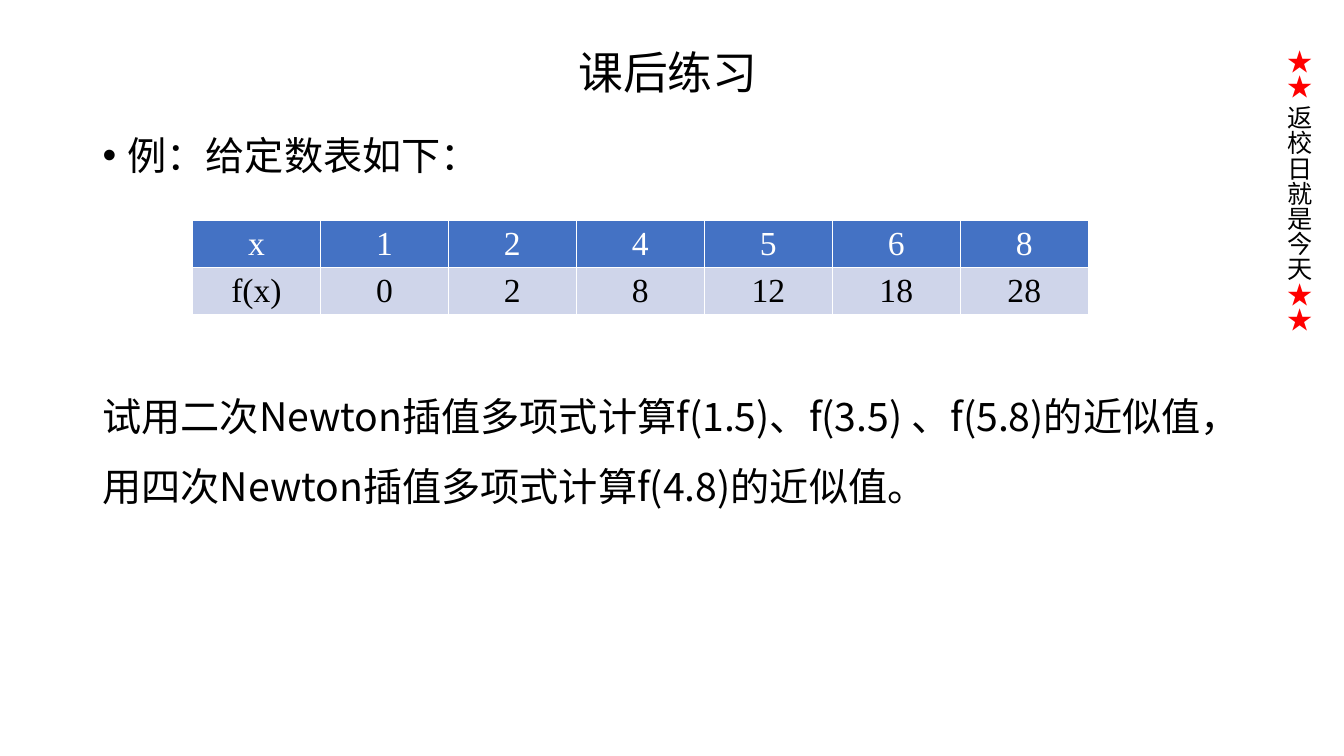
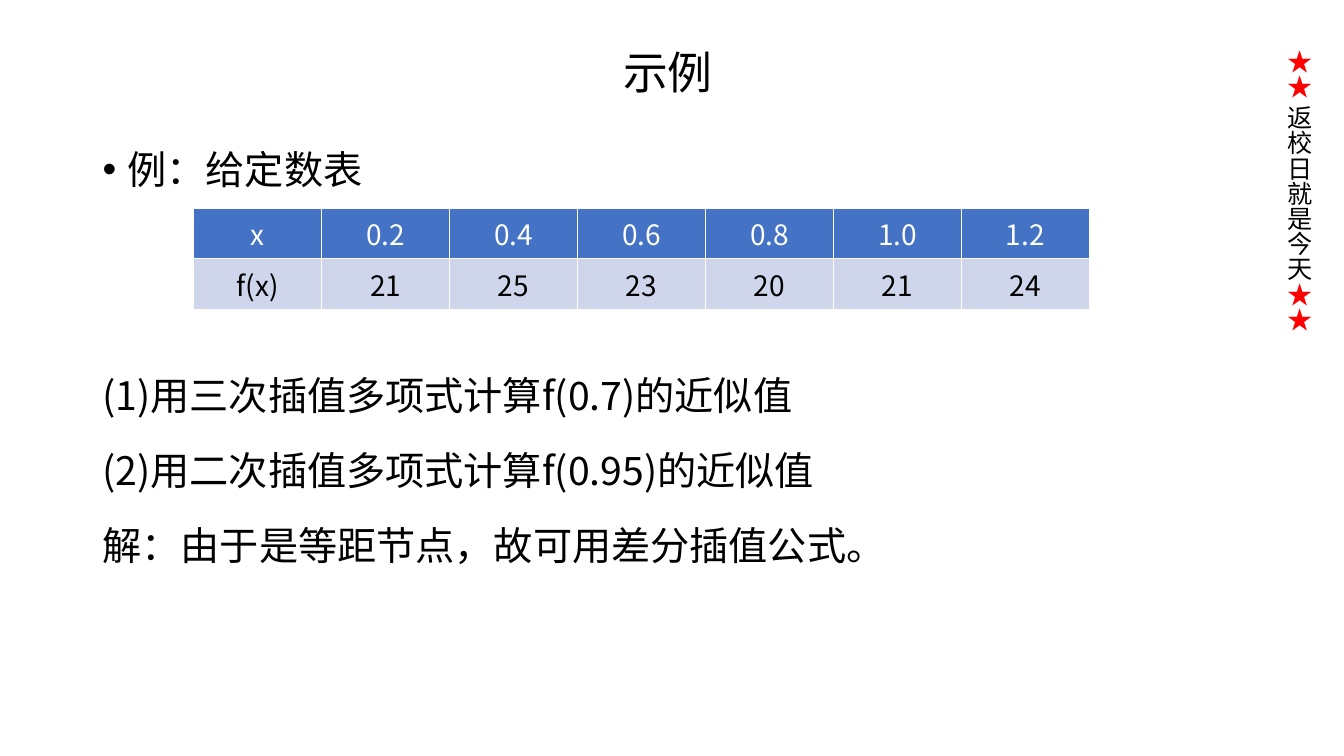
import pptx
import pptx.dml.color
import pptx.enum.text
import pptx.oxml.ns
import pptx.util
from lxml import etree

Cm = pptx.util.Cm
Pt = pptx.util.Pt
RGBColor = pptx.dml.color.RGBColor
PP_ALIGN = pptx.enum.text.PP_ALIGN
MSO_ANCHOR = pptx.enum.text.MSO_ANCHOR
MSO_AUTO_SIZE = pptx.enum.text.MSO_AUTO_SIZE
qn = pptx.oxml.ns.qn

BLACK = RGBColor(0x00, 0x00, 0x00)
WHITE = RGBColor(0xFF, 0xFF, 0xFF)
RED = RGBColor(0xFF, 0x00, 0x00)
HEADER_BLUE = RGBColor(0x44, 0x72, 0xC4)
ROW_BLUE = RGBColor(0xCF, 0xD5, 0xEA)
SANS = "Noto Sans CJK SC"
SERIF = "Times New Roman"
COLUMN_WIDTH = Cm(3.225)


def add_text(p, text, size=28, color=BLACK, font=SANS, align=None,
             line=None, before=0):
    """Add a formatted run to a paragraph and set the paragraph's spacing."""
    p.alignment = align
    p.line_spacing = line
    p.space_before = Pt(before)
    r = p.add_run()
    r.text = text
    r.font.size = Pt(size)
    r.font.color.rgb = color
    r.font.name = font
    etree.SubElement(r.font._element, qn("a:ea"), typeface=font)


def set_bullet(p, char=None):
    """Give a paragraph a hanging bullet, or none at all."""
    pPr = p._p.get_or_add_pPr()
    indent = Cm(0.63) if char else 0
    pPr.set("marL", str(indent))
    pPr.set("indent", str(-indent))
    if char:
        etree.SubElement(pPr, qn("a:buFont"), typeface="Arial")
        etree.SubElement(pPr, qn("a:buChar"), char=char)
    else:
        etree.SubElement(pPr, qn("a:buNone"))


def place(sp, left, top, width, height):
    """Move and size a shape, in centimetres."""
    sp.left, sp.top = Cm(left), Cm(top)
    sp.width, sp.height = Cm(width), Cm(height)


def add_side_motto(s, layout):
    """Put the vertical motto on the layout, so that every slide shows it."""
    sp = s.shapes.add_textbox(Cm(31.98), Cm(1), Cm(1.27), Cm(17.04))
    tf = sp.text_frame
    tf.word_wrap = True
    tf._txBody.bodyPr.set("vert", "eaVert")
    p = tf.paragraphs[0]
    for text, color in (("★★ ", RED), ("返校日就是今天", BLACK), ("★★", RED)):
        add_text(p, text, size=18, color=color)
    layout.shapes.element.append(sp.element)


def set_title(s, text):
    """Fill the title placeholder."""
    tf = s.shapes.title.text_frame
    tf.vertical_anchor = MSO_ANCHOR.MIDDLE
    tf.auto_size = MSO_AUTO_SIZE.NONE
    add_text(tf.paragraphs[0], text, size=32, align=PP_ALIGN.CENTER, line=0.9)


def set_body(s, lead, lines, line, gap, before=0, lead_line=1.0):
    """Fill the body with a bulleted lead and, below a gap, plain lines."""
    tf = s.placeholders[1].text_frame
    tf.auto_size = MSO_AUTO_SIZE.NONE
    p = tf.paragraphs[0]
    set_bullet(p, "•")
    add_text(p, lead, line=lead_line)
    for i, text in enumerate(lines):
        p = tf.add_paragraph()
        set_bullet(p)
        add_text(p, text, line=line, before=before if i else gap)


def add_value_table(s, rows, left, top, row_height, size, font):
    """Add a table with a blue header row and a pale value row."""
    columns = len(rows[0])
    table = s.shapes.add_table(len(rows), columns, Cm(left), Cm(top),
                               COLUMN_WIDTH * columns,
                               Cm(row_height) * len(rows)).table
    table.first_row = table.horz_banding = False
    for i, values in enumerate(rows):
        for j, value in enumerate(values):
            cell = table.cell(i, j)
            cell.fill.solid()
            cell.fill.fore_color.rgb = ROW_BLUE if i else HEADER_BLUE
            add_text(cell.text_frame.paragraphs[0], value, size=size, font=font,
                     color=BLACK if i else WHITE, align=PP_ALIGN.CENTER)


def main():
    """Build the two exercise slides."""
    prs = pptx.Presentation()
    prs.slide_width, prs.slide_height = Cm(33.87), Cm(19.05)
    layout = prs.slide_layouts[1]
    place(layout.placeholders[0], 2.23, 1, 29.21, 1.78)
    place(layout.placeholders[1], 2.33, 3.18, 29.21, 13.97)

    s = prs.slides.add_slide(layout)
    add_side_motto(s, layout)
    set_title(s, "课后练习")
    set_body(s, "例：给定数表如下：",
             ["试用二次Newton插值多项式计算f(1.5)、f(3.5) 、f(5.8)的近似值，"
              "用四次Newton插值多项式计算f(4.8)的近似值。"],
             line=1.5, gap=135.7)
    add_value_table(s, [["x", "1", "2", "4", "5", "6", "8"],
                        ["f(x)", "0", "2", "8", "12", "18", "28"]],
                    left=4.85, top=5.55, row_height=1.18, size=24, font=SERIF)

    s = prs.slides.add_slide(layout)
    set_title(s, "示例")
    set_body(s, "例：给定数表",
             ["(1)用三次插值多项式计算f(0.7)的近似值",
              "(2)用二次插值多项式计算f(0.95)的近似值",
              "解：由于是等距节点，故可用差分插值公式。"],
             line=1.3, gap=117.5, before=10, lead_line=1.3)
    add_value_table(s, [["x", "0.2", "0.4", "0.6", "0.8", "1.0", "1.2"],
                        ["f(x)", "21", "25", "23", "20", "21", "24"]],
                    left=4.88, top=5.24, row_height=1.27, size=20, font=SANS)

    prs.save("out.pptx")


if __name__ == "__main__":
    main()
